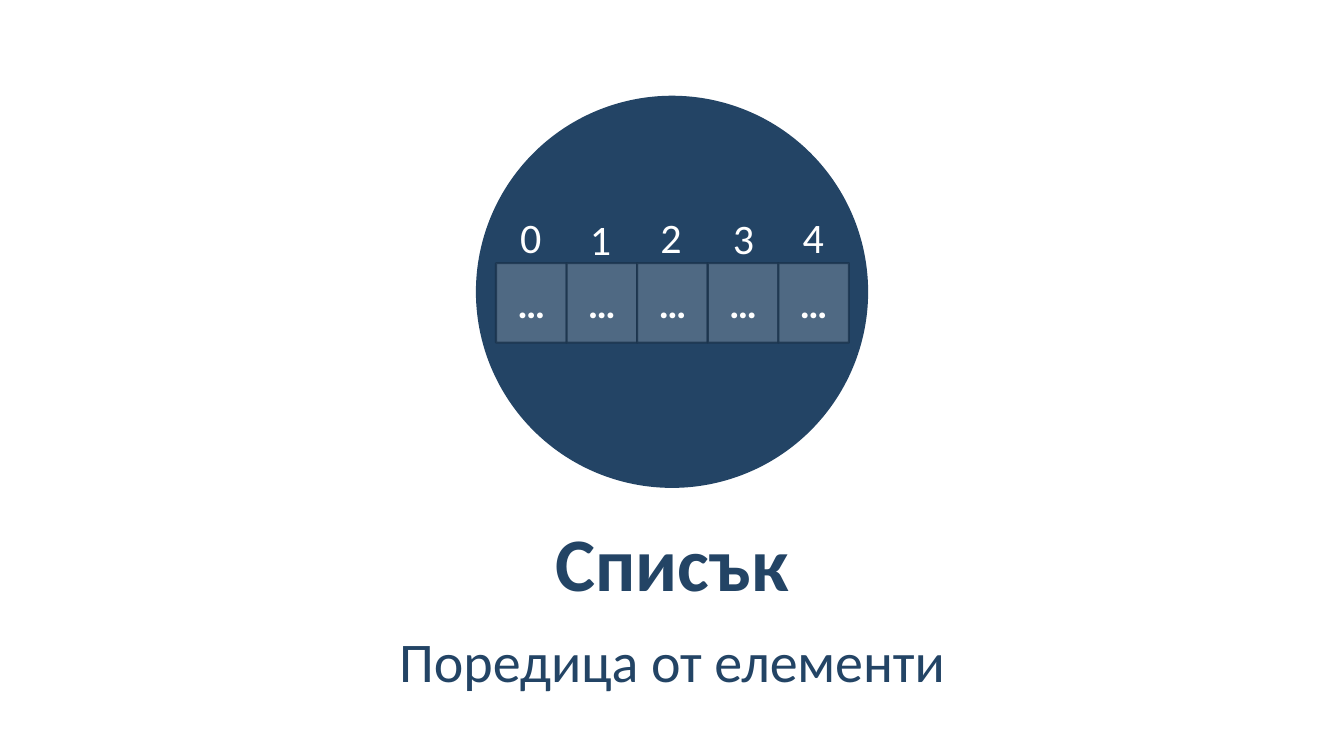
from dataclasses import dataclass

from lxml.etree import SubElement
from pptx import Presentation
from pptx.dml.color import RGBColor
from pptx.enum.shapes import MSO_SHAPE
from pptx.enum.text import MSO_ANCHOR, MSO_AUTO_SIZE, PP_ALIGN
from pptx.oxml.ns import qn
from pptx.util import Inches, Pt

TITLE = "Списък"
SUBTITLE = "Поредица от елементи"
CELL_TEXT = "…"
INDEXES = [("0", 5.0, 1.93), ("1", 5.69, 1.95), ("2", 6.39, 1.93),
           ("3", 7.11, 1.94), ("4", 7.8, 1.93)]


@dataclass(frozen=True)
class Theme:
    font: str = "Calibri"
    navy: str = "234465"
    edge: str = "1A334C"
    white: str = "FFFFFF"
    title: int = 54
    subtitle: int = 40
    index: int = 30
    cell: int = 28


T = Theme()
SLIDE_W, SLIDE_H = 13.33, 7.5
CIRCLE = (4.72, 0.95, 3.89, 3.89)
CELL_X, CELL_Y, CELL_W, CELL_H = 4.92, 2.61, 0.7, 0.79
INDEX_W, INDEX_H = 0.53, 0.77
TEXT_X, TEXT_W, TEXT_H = 0.67, 11.99, 0.84
TITLE_Y, SUBTITLE_Y = 5.15, 6.11


def put_text(sp, text, size, color, bold=False, align=PP_ALIGN.CENTER,
             anchor=MSO_ANCHOR.MIDDLE, inset=(0.1, 0.05), spacing=1.0,
             wrap=True, fit=MSO_AUTO_SIZE.NONE):
    tf = sp.text_frame
    tf.word_wrap, tf.auto_size, tf.vertical_anchor = wrap, fit, anchor
    tf.margin_left = tf.margin_right = Inches(inset[0])
    tf.margin_top = tf.margin_bottom = Inches(inset[1])
    p = tf.paragraphs[0]
    p.alignment, p.line_spacing = align, spacing
    p.space_before = p.space_after = Pt(0)
    r = p.add_run()
    r.text = text
    r.font.name, r.font.size, r.font.bold = T.font, Pt(size), bold
    r.font.color.rgb = RGBColor.from_string(color)


def place(sp, x, y, w, h):
    sp.left, sp.top, sp.width, sp.height = map(Inches, (x, y, w, h))


def paint(fill, color, opacity=100):
    fill.solid()
    fill.fore_color.rgb = RGBColor.from_string(color)
    if opacity < 100:
        clr = fill._xPr.find(qn("a:solidFill"))[0]
        SubElement(clr, qn("a:alpha")).set("val", str(opacity * 1000))


def add_shape(shapes, kind, box, color, opacity=100):
    sp = shapes.add_shape(kind, *map(Inches, box))
    sp.shadow.inherit = False
    paint(sp.fill, color, opacity)
    return sp


def main():
    prs = Presentation()
    prs.slide_width, prs.slide_height = Inches(SLIDE_W), Inches(SLIDE_H)
    s = prs.slides.add_slide(prs.slide_layouts[0])

    circle = add_shape(s.shapes, MSO_SHAPE.OVAL, CIRCLE, T.navy)
    circle.line.fill.background()

    row = s.shapes.add_group_shape().shapes
    for i in range(len(INDEXES)):
        box = (CELL_X + i * CELL_W, CELL_Y, CELL_W, CELL_H)
        cell = add_shape(row, MSO_SHAPE.RECTANGLE, box, T.white, 20)
        cell.line.width = Pt(1.5)
        paint(cell.line.fill, T.edge, 80)
        put_text(cell, CELL_TEXT, T.cell, T.white, bold=True)
    for text, x, y in INDEXES:
        label = row.add_textbox(*map(Inches, (x, y, INDEX_W, INDEX_H)))
        put_text(label, text, T.index, T.white, align=PP_ALIGN.LEFT,
                 anchor=MSO_ANCHOR.TOP, inset=(0.16, 0.12), spacing=1.1,
                 wrap=False, fit=MSO_AUTO_SIZE.SHAPE_TO_FIT_TEXT)

    title, subtitle = s.shapes.title, s.placeholders[1]
    place(title, TEXT_X, TITLE_Y, TEXT_W, TEXT_H)
    put_text(title, TITLE, T.title, T.navy, bold=True, inset=(0.12, 0.04))
    place(subtitle, TEXT_X, SUBTITLE_Y, TEXT_W, TEXT_H)
    put_text(subtitle, SUBTITLE, T.subtitle, T.navy, inset=(0.12, 0.04), spacing=1.05)

    prs.save("out.pptx")


if __name__ == "__main__":
    main()
